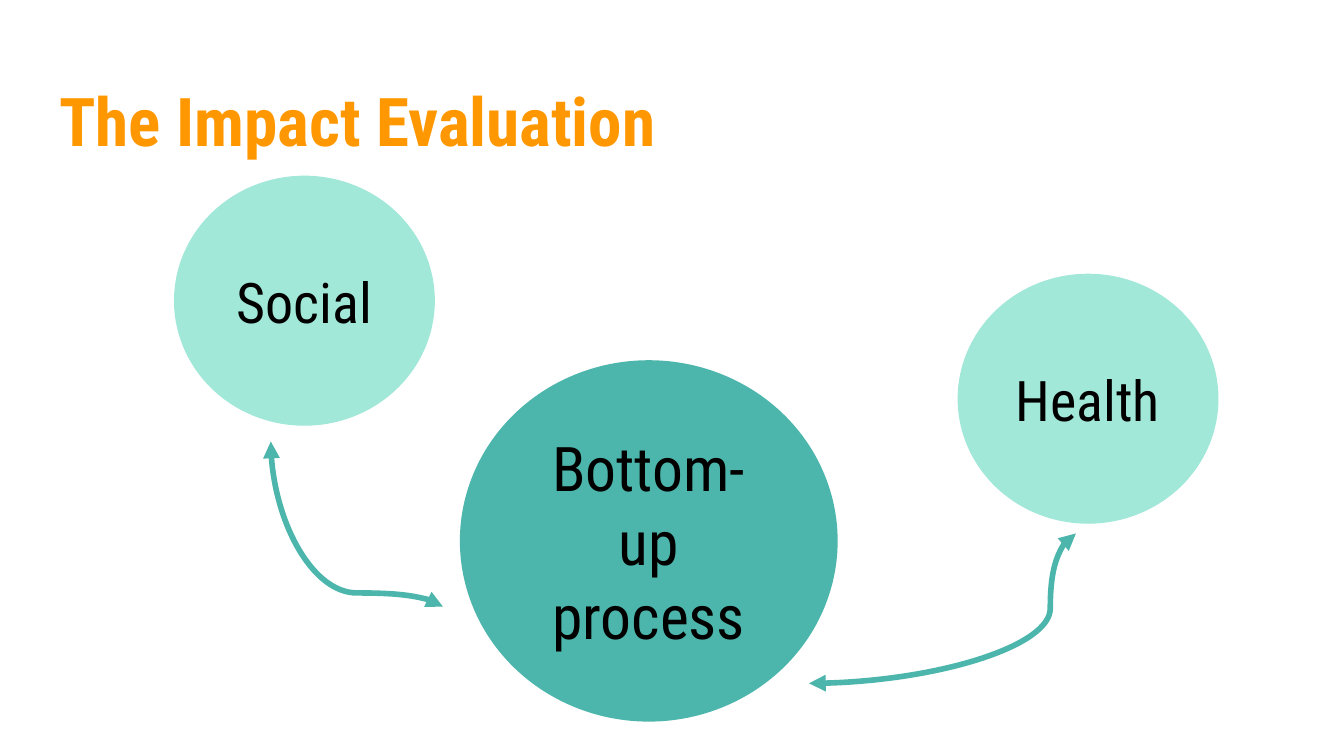
from lxml.etree import SubElement
from pptx import Presentation
from pptx.dml.color import RGBColor
from pptx.enum.shapes import MSO_CONNECTOR, MSO_SHAPE
from pptx.enum.text import MSO_ANCHOR, MSO_AUTO_SIZE, PP_ALIGN
from pptx.oxml.ns import qn
from pptx.util import Pt

COLORS = {"title": "FF9800", "text": "000000", "process": "4DB6AC", "impact": "A1E8D9"}
FONT = "Roboto Condensed"
INSET = 7.2


def color(name):
    return RGBColor.from_string(COLORS[name])


def write(frame, text, size, ink, align, anchor, bold=False):
    """Fill a text frame with one formatted run."""
    frame.word_wrap = True
    frame.auto_size = MSO_AUTO_SIZE.NONE
    frame.vertical_anchor = anchor
    frame.margin_left = frame.margin_right = Pt(INSET)
    frame.margin_top = frame.margin_bottom = Pt(INSET)
    paragraph = frame.paragraphs[0]
    paragraph.alignment = align
    run = paragraph.add_run()
    run.text = text
    run.font.name = FONT
    run.font.size = Pt(size)
    run.font.bold = bold
    run.font.color.rgb = color(ink)


prs = Presentation()
prs.slide_width, prs.slide_height = Pt(720), Pt(405)
slide = prs.slides.add_slide(prs.slide_layouts[5])

title = slide.shapes.title
title.left, title.top, title.width, title.height = Pt(24.5), Pt(35.3), Pt(671), Pt(55.4)
write(title.text_frame, "The Impact Evaluation", 36, "title",
      PP_ALIGN.LEFT, MSO_ANCHOR.TOP, bold=True)

# Central process and the two impacts around it
circles = [
    ("Bottom-up process", 246.4, 193, 202.4, 193.6, "process", 33),
    ("Social", 93.6, 94.5, 139, 133.2, "impact", 30),
    ("Health", 513.4, 147, 139, 133.2, "impact", 30),
]
for label, left, top, width, height, fill, size in circles:
    circle = slide.shapes.add_shape(MSO_SHAPE.OVAL, Pt(left), Pt(top), Pt(width), Pt(height))
    circle.shadow.inherit = False
    circle.fill.solid()
    circle.fill.fore_color.rgb = color(fill)
    if fill == "impact":
        circle.line.color.rgb = color(fill)
        circle.line.width = Pt(0.75)
    else:
        circle.line.fill.background()
    write(circle.text_frame, label, size, "text", PP_ALIGN.CENTER, MSO_ANCHOR.MIDDLE)

# Two-way curved arrows: ends before rotation, rotation in degrees, bend in percent
links = [
    (235.4, 234.7, 146.9, 326.9, 270, 91.7),
    (576.4, 285.8, 433.4, 366.1, 0, 9.6),
]
for begin_x, begin_y, end_x, end_y, rotation, bend in links:
    link = slide.shapes.add_connector(
        MSO_CONNECTOR.CURVE, Pt(begin_x), Pt(begin_y), Pt(end_x), Pt(end_y))
    link.line.color.rgb = color("process")
    link.line.width = Pt(3)
    properties = link._element.spPr
    if rotation:
        properties.find(qn("a:xfrm")).set("rot", str(rotation * 60000))
    adjustments = properties.find(qn("a:prstGeom")).get_or_add_avLst()
    SubElement(adjustments, qn("a:gd"), name="adj1", fmla=f"val {round(bend * 1000)}")
    outline = link.line._get_or_add_ln()
    for end in ("a:headEnd", "a:tailEnd"):
        SubElement(outline, qn(end), type="triangle")
    SubElement(properties, qn("a:effectLst"))

prs.save("out.pptx")
